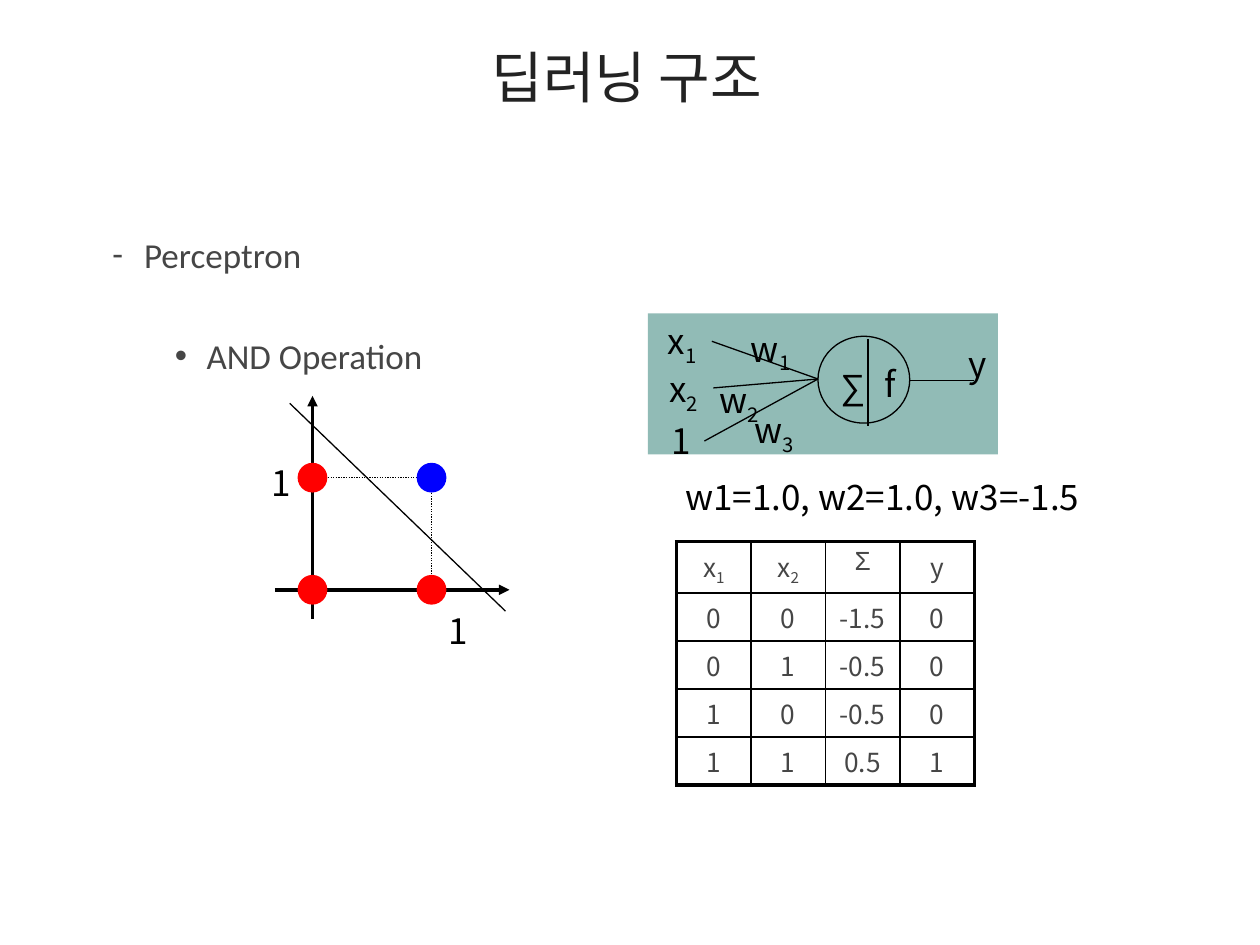
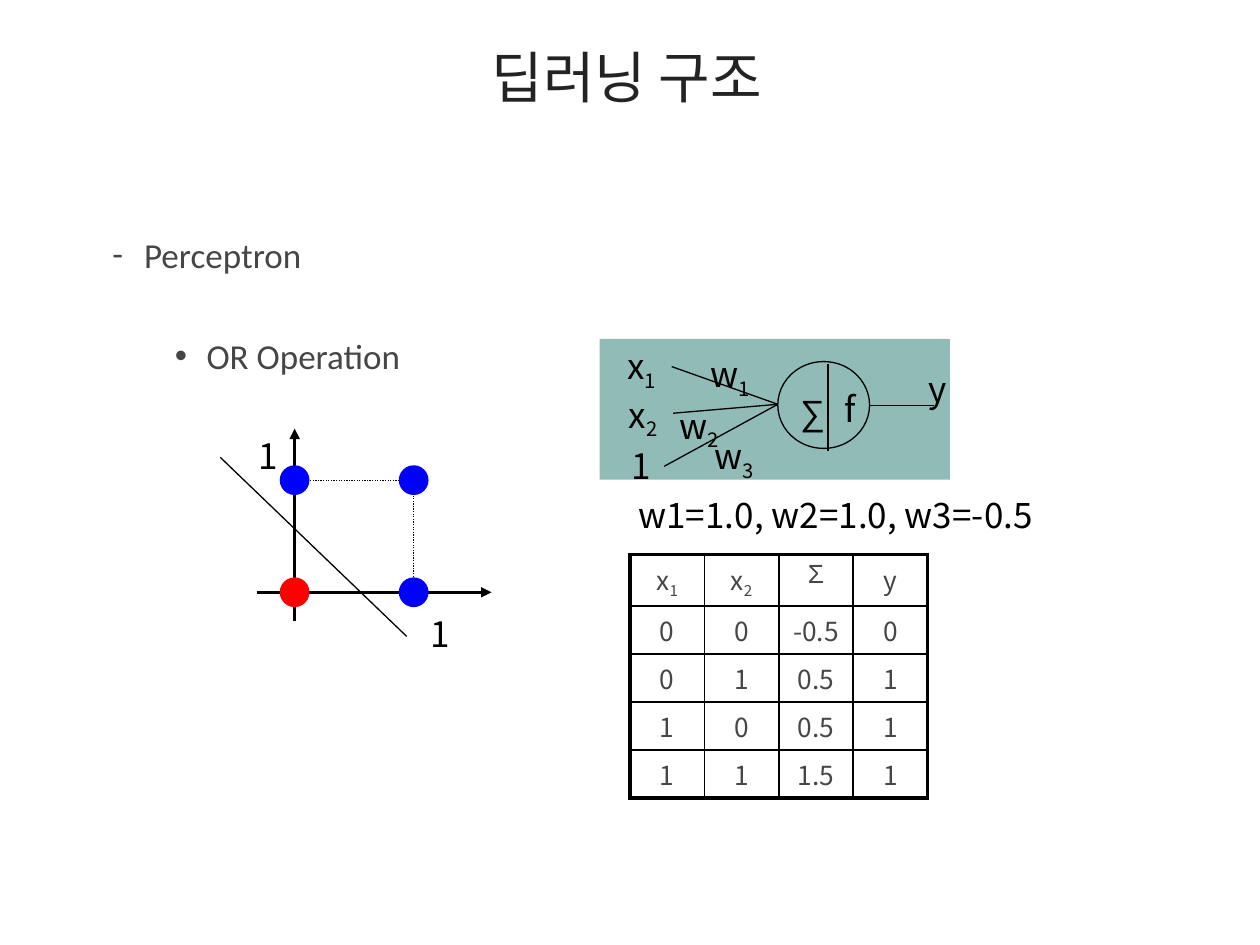
from lxml import etree
from pptx import Presentation
from pptx.dml.color import RGBColor
from pptx.enum.dml import MSO_LINE
from pptx.enum.shapes import MSO_CONNECTOR, MSO_SHAPE
from pptx.enum.text import MSO_ANCHOR, MSO_AUTO_SIZE, PP_ALIGN
from pptx.oxml.ns import qn
from pptx.util import Cm, Pt

STRAIGHT = MSO_CONNECTOR.STRAIGHT
OVAL, RECTANGLE = MSO_SHAPE.OVAL, MSO_SHAPE.RECTANGLE
DOTTED = MSO_LINE.ROUND_DOT
TOP, CENTER = MSO_ANCHOR.TOP, PP_ALIGN.CENTER
FIT_SHAPE, NO_FIT = MSO_AUTO_SIZE.SHAPE_TO_FIT_TEXT, MSO_AUTO_SIZE.NONE

KOREAN, BODY_FONT, SYMBOL_FONT = "Noto Sans CJK KR", "Calibri", "Arial"
BLACK, TITLE_INK, BODY_INK = "000000", "232323", "464646"
TEAL, RED, BLUE = "91BBB6", "FF0000", "0000FF"

TITLE = "딥러닝 구조"
TOPIC = "Perceptron"
OPERATIONS = [
    {
        "name": "AND Operation", "bias": -1.5,
        "plot": (6.3, 11.89), "y_axis_top": 3.91, "y_label": (-1.07, 2.72),
        "boundary": ((-0.46, 3.76), (3.89, -0.43)),
        "panel": (13.06, 6.32), "neuron": (13.21, 6.32),
        "weights": (13.56, 9.47), "table": (13.64, 10.92),
    },
    {
        "name": "OR Operation", "bias": -0.5,
        "plot": (5.94, 11.94), "y_axis_top": 3.3, "y_label": (-0.97, 3.3),
        "boundary": ((-1.5, 2.72), (2.26, -0.89)),
        "panel": (12.09, 6.83), "neuron": (12.4, 6.83),
        "weights": (12.62, 9.83), "table": (12.7, 11.18),
    },
]
INPUTS = [(0, 0), (0, 1), (1, 0), (1, 1)]
HEADINGS = [("x", "1"), ("x", "2"), ("Σ", ""), ("y", "")]

CELL_BODY = (3.28, 0.46, 1.85, 1.75)
CELL_ENTRY = (3.28, 1.32)
NEURON_LINES = [
    ((1.14, 0.56), CELL_ENTRY),
    ((1.17, 1.5), CELL_ENTRY),
    ((0.99, 2.57), CELL_ENTRY),
    ((5.14, 1.35), (6.43, 1.35)),
    ((4.29, 0.51), (4.29, 2.26)),
]
NEURON_LABELS = [
    ("x", "1", 0, 0, 1.14),
    ("x", "2", 0.03, 0.97, 1.14),
    ("1", "", 0.08, 2.01, 0.91),
    ("∑", "", 3.48, 0.91, 1.02),
    ("f", "", 4.37, 0.86, 0.76),
    ("w", "1", 1.68, 0.15, 1.32),
    ("w", "2", 1.04, 1.19, 1.32),
    ("w", "3", 1.75, 1.8, 1.32),
    ("y", "", 6.07, 0.46, 0.86),
]
STEP_X, STEP_Y, DOT = 2.4, 2.26, 0.6
LABEL_HEIGHT, DIGIT_WIDTH = 1.12, 0.91
COLUMN, HEADING_ROW, VALUE_ROW = 1.5, 1.02, 0.96
THIN, AXIS, INNER, OUTER = 0.75, 2, 1, 2.25


def rgb(color):
    return RGBColor.from_string(color)


def apply(target, **values):
    for name, value in values.items():
        setattr(target, name, value)


def add_child(parent, tag, **attributes):
    return etree.SubElement(parent, qn(tag), attributes)


def place(holder, left, top, width, height):
    apply(holder, left=Cm(left), top=Cm(top), width=Cm(width), height=Cm(height))


def write(paragraph, words, size, color, font, subscript=""):
    for part, baseline in ((words, None), (subscript, "-25000")):
        if not part:
            continue
        run = paragraph.add_run()
        run.text = part
        apply(run.font, name=font, size=Pt(size))
        run.font.color.rgb = rgb(color)
        properties = run.font._element
        latin = properties.find(qn("a:latin"))
        latin.addnext(latin.makeelement(qn("a:ea"), {"typeface": font}))
        if baseline:
            properties.set("baseline", baseline)


def symbol_font(words):
    return SYMBOL_FONT if words in "∑Σ" else KOREAN


def add_label(slide, words, left, top, width, subscript=""):
    label = slide.shapes.add_textbox(Cm(left), Cm(top), Cm(width), Cm(LABEL_HEIGHT))
    apply(label.text_frame, word_wrap=False, auto_size=FIT_SHAPE)
    write(label.text_frame.paragraphs[0], words, 20, BLACK, symbol_font(words), subscript)


def add_line(slide, start, end, width=THIN, dash=None, arrow=False):
    line = slide.shapes.add_connector(STRAIGHT, *(Cm(v) for v in (*start, *end)))
    line.line.color.rgb = rgb(BLACK)
    apply(line.line, width=Pt(width), dash_style=dash)
    if arrow:
        add_child(line.line._get_or_add_ln(), "a:tailEnd", type="triangle")
    add_child(line._element.spPr, "a:effectLst")


def add_filled(slide, kind, box, fill, outline=None):
    filled = slide.shapes.add_shape(kind, *(Cm(v) for v in box))
    filled.shadow.inherit = False
    filled.fill.solid()
    filled.fill.fore_color.rgb = rgb(fill)
    if outline:
        filled.line.color.rgb = rgb(outline)
        filled.line.width = Pt(THIN)
    else:
        filled.line.fill.background()


def add_headings(slide, operation_name):
    title, body = slide.shapes.title, slide.placeholders[1]
    place(title, 1.37, 0.89, 22.53, 2.24)
    apply(title.text_frame, vertical_anchor=TOP, auto_size=NO_FIT)
    heading = title.text_frame.paragraphs[0]
    apply(heading, alignment=CENTER, line_spacing=0.9)
    write(heading, TITLE, 32, TITLE_INK, KOREAN)

    place(body, 2.01, 4.67, 21.84, 9.83)
    body.text_frame.auto_size = NO_FIT
    items = [(TOPIC, "-", BODY_FONT, 0.64, 0), (operation_name, "•", SYMBOL_FONT, 1.9, 36)]
    for level, (words, bullet, bullet_font, margin, gap) in enumerate(items):
        item = body.text_frame.add_paragraph() if level else body.text_frame.paragraphs[0]
        properties = item._p.get_or_add_pPr()
        properties.set("marL", str(Cm(margin)))
        properties.set("indent", str(Cm(-0.64)))
        add_child(properties, "a:buFont", typeface=bullet_font)
        add_child(properties, "a:buChar", char=bullet)
        apply(item, level=level, line_spacing=0.9, space_before=Pt(gap))
        write(item, words, 20, BODY_INK, BODY_FONT)


def truth_rows(bias):
    sums = [(x1, x2, x1 + x2 + bias) for x1, x2 in INPUTS]
    return [(x1, x2, total, int(total > 0)) for x1, x2, total in sums]


def add_truth_table(slide, corner, rows):
    lines = HEADINGS + [(str(v), "") for v in ()]
    lines = [HEADINGS] + [
        [(str(x1), ""), (str(x2), ""), (f"{total:.1f}", ""), (str(y), "")]
        for x1, x2, total, y in rows
    ]
    last_row, last_column = len(lines) - 1, len(HEADINGS) - 1
    height = HEADING_ROW + VALUE_ROW * last_row
    table = slide.shapes.add_table(
        len(lines), len(HEADINGS), Cm(corner[0]), Cm(corner[1]),
        Cm(COLUMN * len(HEADINGS)), Cm(height)).table
    apply(table, first_row=False, horz_banding=False)
    for column in table.columns:
        column.width = Cm(COLUMN)
    for r, line in enumerate(lines):
        table.rows[r].height = Cm(VALUE_ROW if r else HEADING_ROW)
        for c, (words, subscript) in enumerate(line):
            cell = table.cell(r, c)
            apply(cell, margin_left=Cm(0.18), margin_right=Cm(0.18),
                  margin_top=Cm(0.1), margin_bottom=Cm(0.1))
            cell.fill.background()
            paragraph = cell.text_frame.paragraphs[0]
            paragraph.alignment = CENTER
            write(paragraph, words, 15, BODY_INK, symbol_font(words), subscript)
            outer_sides = {"L": c == 0, "R": c == last_column, "T": r == 0, "B": r == last_row}
            add_borders(cell, outer_sides)


def add_borders(cell, outer_sides):
    properties = cell._tc.get_or_add_tcPr()
    for position, (side, is_outer) in enumerate(outer_sides.items()):
        width = Pt(OUTER if is_outer else INNER)
        border = properties.makeelement(qn(f"a:ln{side}"), {"w": str(width)})
        add_child(add_child(border, "a:solidFill"), "a:srgbClr", val=BLACK)
        properties.insert(position, border)


def add_neuron(slide, panel, origin):
    left, top = origin
    add_filled(slide, RECTANGLE, (*panel, 7.06, 2.84), TEAL)
    x, y, width, height = CELL_BODY
    add_filled(slide, OVAL, (left + x, top + y, width, height), TEAL, BLACK)
    for ends in NEURON_LINES:
        add_line(slide, *((left + x, top + y) for x, y in ends))
    for words, subscript, x, y, width in NEURON_LABELS:
        add_label(slide, words, left + x, top + y, width, subscript)


def add_plot(slide, operation, rows):
    left, base = operation["plot"]

    def at(x, y):
        return left + x, base - y

    add_line(slide, at(-0.76, 0), at(3.97, 0), AXIS, arrow=True)
    add_line(slide, at(0, -0.58), at(0, operation["y_axis_top"]), AXIS, arrow=True)
    add_line(slide, *(at(*end) for end in operation["boundary"]))
    for start in ((0, STEP_Y), (STEP_X, 0)):
        add_line(slide, at(*start), at(STEP_X, STEP_Y), dash=DOTTED)
    for corner in ((2.49, -0.28), operation["y_label"]):
        add_label(slide, "1", *at(*corner), DIGIT_WIDTH)
    for x1, x2, _, y in rows:
        x, height = at(x1 * STEP_X, x2 * STEP_Y)
        add_filled(slide, OVAL, (x - DOT / 2, height - DOT / 2, DOT, DOT), BLUE if y else RED)


def main():
    deck = Presentation()
    apply(deck, slide_width=Cm(25.4), slide_height=Cm(19.05))
    for operation in OPERATIONS:
        slide = deck.slides.add_slide(deck.slide_layouts[1])
        rows = truth_rows(operation["bias"])
        add_headings(slide, operation["name"])
        add_truth_table(slide, operation["table"], rows)
        add_neuron(slide, operation["panel"], operation["neuron"])
        add_plot(slide, operation, rows)
        weights = f"w1=1.0, w2=1.0, w3={operation['bias']}"
        add_label(slide, weights, *operation["weights"], 9.25)
    deck.save("out.pptx")


if __name__ == "__main__":
    main()
